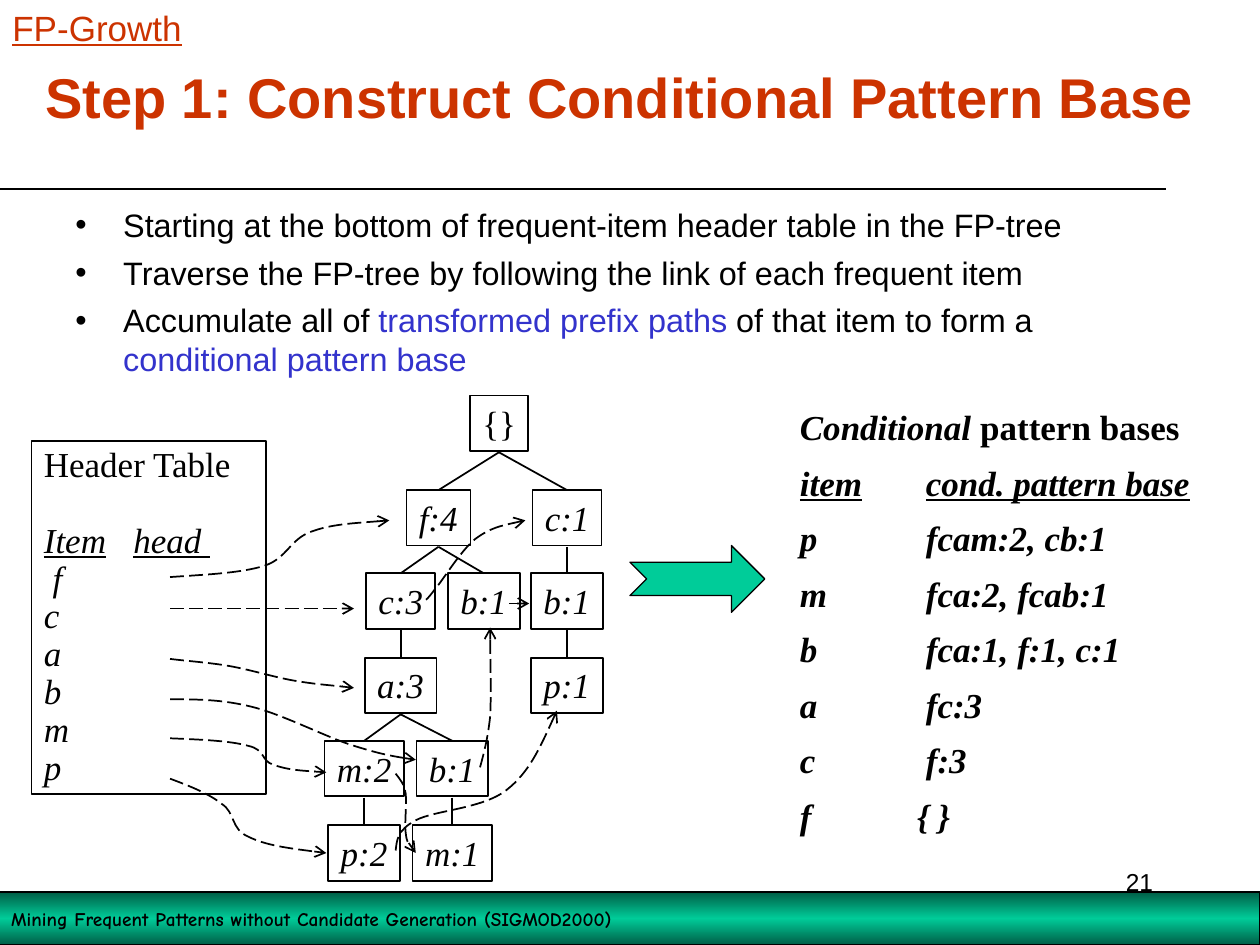
from copy import deepcopy
from dataclasses import dataclass

from lxml.etree import SubElement
from pptx import Presentation
from pptx.dml.color import RGBColor
from pptx.enum.dml import MSO_LINE
from pptx.enum.shapes import MSO_CONNECTOR as Connector, MSO_SHAPE as Preset
from pptx.enum.text import MSO_ANCHOR as Anchor, PP_ALIGN as Align
from pptx.oxml.ns import qn
from pptx.util import Inches, Pt

BLACK = RGBColor(0x00, 0x00, 0x00)
RED = RGBColor(0xCC, 0x33, 0x00)
BLUE = RGBColor(0x33, 0x33, 0xCC)
GREEN = RGBColor(0x00, 0xCC, 0x99)
DARK_GREEN = RGBColor(0x00, 0x5E, 0x46)
WIDTH, HEIGHT = Inches(10), Inches(7.5)
COLUMN, ROW = WIDTH / 10, HEIGHT / 7.5

SERIF = {"name": "Times New Roman", "size": Pt(20)}
ITALIC = SERIF | {"italic": True}
BOLD_ITALIC = ITALIC | {"bold": True}
SANS = {"name": "Arial", "size": Pt(18.5)}

NODE_HEIGHT = 0.44
NODE_WIDTHS = {"{": 0.46, "f": 0.51, "c": 0.55, "m": 0.63}
LEVEL_TOPS = [0.14, 0.89, 1.55, 2.22, 2.88, 3.55]
NODES = [
    ("{}", 3.96, 0, None), ("f:4", 3.48, 1, 0), ("c:1", 4.5, 1, 0),
    ("c:3", 3.18, 2, 1), ("b:1", 3.84, 2, 1), ("b:1", 4.5, 2, 2),
    ("a:3", 3.18, 3, 3), ("p:1", 4.5, 3, 5), ("m:2", 2.89, 4, 6),
    ("b:1", 3.59, 4, 6), ("p:2", 2.89, 5, 8), ("m:1", 3.59, 5, 9),
]
CURVED_LINKS = [
    [(1.35, 1.58), (1.63, 1.56), (1.91, 1.55), (2.1, 1.49), (2.28, 1.43),
     (2.3, 1.28), (2.47, 1.22), (2.63, 1.16), (2.86, 1.15), (3.09, 1.13)],
    [(3.38, 1.76), (3.38, 1.76), (3.39, 1.76), (3.45, 1.68), (3.52, 1.6),
     (3.65, 1.38), (3.77, 1.28), (3.89, 1.19), (4.03, 1.16), (4.17, 1.13)],
    [(1.35, 2.23), (1.51, 2.25), (1.68, 2.26), (1.84, 2.29), (2, 2.32),
     (2.16, 2.37), (2.32, 2.4), (2.49, 2.43), (2.65, 2.44), (2.81, 2.46)],
    [(1.35, 2.55), (1.56, 2.55), (1.76, 2.55), (2, 2.61), (2.24, 2.67),
     (2.57, 2.84), (2.78, 2.91), (3, 2.98), (3.15, 3.01), (3.3, 3.03)],
    [(3.81, 3.09), (3.84, 2.98), (3.87, 2.87), (3.89, 2.69), (3.9, 2.5),
     (3.89, 2.24), (3.89, 1.98)],
    [(1.35, 2.86), (1.59, 2.87), (1.83, 2.88), (1.97, 2.92), (2.11, 2.95),
     (2.07, 3.04), (2.17, 3.07), (2.28, 3.11), (2.43, 3.12), (2.59, 3.13)],
    [(3.14, 3.14), (3.17, 3.18), (3.21, 3.22), (3.22, 3.3), (3.23, 3.38),
     (3.21, 3.53), (3.22, 3.61), (3.23, 3.69), (3.27, 3.73), (3.3, 3.77)],
    [(1.35, 3.18), (1.51, 3.24), (1.66, 3.3), (1.76, 3.38), (1.87, 3.45),
     (1.83, 3.58), (1.97, 3.64), (2.11, 3.71), (2.35, 3.74), (2.59, 3.77)],
    [(3.14, 3.75), (3.15, 3.67), (3.15, 3.59), (3.3, 3.51), (3.45, 3.43),
     (3.83, 3.42), (4.02, 3.27), (4.2, 3.13), (4.31, 2.88), (4.42, 2.64)],
]
STRAIGHT_LINKS = [((1.35, 1.83), (2.81, 1.83)), ((4.04, 1.79), (4.2, 1.79))]


@dataclass
class Box:
    left: float
    top: float
    width: float
    height: float

    def point(self, x, y):
        return round((self.left + x) * COLUMN), round((self.top + y) * ROW)

    def inner(self, x, y, width, height):
        return Box(self.left + x, self.top + y, width, height)

    def extent(self):
        return *self.point(0, 0), round(self.width * COLUMN), round(self.height * ROW)


def assign(target, values):
    for name, value in values.items():
        setattr(target, name, value)


def write(shape, paras, font, color=BLACK, layout=None, **frame):
    text = shape.text_frame
    assign(text, {"word_wrap": True} | frame)
    for index, spans in enumerate(paras):
        para = text.add_paragraph() if index else text.paragraphs[0]
        assign(para, {"alignment": Align.LEFT} | (layout or {}))
        for words, changes in [(spans, {})] if isinstance(spans, str) else spans:
            span = para.add_run()
            span.text = words
            changes = {"color": color} | changes
            span.font.color.rgb = changes.pop("color")
            assign(span.font, font | changes)
    return text.paragraphs


def add_text(page, box, paras, font, **options):
    return write(page.shapes.add_textbox(*box.extent()), paras, font, **options)


def add_preset(page, box, preset=Preset.RECTANGLE, width=1):
    shape = page.shapes.add_shape(preset, *box.extent())
    shape.shadow.inherit = False
    shape.fill.background()
    shape.line.color.rgb = BLACK
    shape.line.width = Pt(width)
    return shape


def add_line(page, box, start, end, width=1):
    line = page.shapes.add_connector(
        Connector.STRAIGHT, *box.point(*start), *box.point(*end))
    line.line.color.rgb = BLACK
    line.line.width = Pt(width)
    SubElement(line._element.spPr, qn("a:effectLst"))
    return line


def make_link(shape):
    shape.line.dash_style = MSO_LINE.LONG_DASH
    SubElement(shape.line._get_or_add_ln(), qn("a:tailEnd"), type="arrow")


def add_curve(page, box, points):
    start, *rest = [box.point(*point) for point in points]
    builder = page.shapes.build_freeform(*start)
    builder.add_line_segments(rest, close=False)
    shape = builder.convert_to_shape()
    shape.shadow.inherit = False
    shape.fill.background()
    shape.line.color.rgb = BLACK
    shape.line.width = Pt(1)
    outline = shape._element.find(".//" + qn("a:path"))
    steps = outline.findall(qn("a:lnTo"))
    for first in range(0, len(steps), 3):
        bend = SubElement(outline, qn("a:cubicBezTo"))
        for step in steps[first:first + 3]:
            bend.append(step[0])
            outline.remove(step)
    return shape


def set_tab(para, position):
    tabs = SubElement(para._p.get_or_add_pPr(), qn("a:tabLst"))
    SubElement(tabs, qn("a:tab"), pos=str(Inches(position)), algn="l")


def draw_heading(page, box):
    add_line(page, box, (0, 1.5), (9.25, 1.5), 0.75)
    add_text(page, box.inner(0.17, 0.42, 9.5, 0.75),
             ["Step 1: Construct Conditional Pattern Base"],
             {"name": "Arial", "size": Pt(32), "bold": True}, color=RED,
             layout={"alignment": Align.CENTER, "line_spacing": 0.9},
             vertical_anchor=Anchor.MIDDLE)
    add_text(page, box.inner(0, 0, 1.54, 0.44), ["FP-Growth"],
             {"name": "Arial", "size": Pt(20), "underline": True}, color=RED,
             margin_right=0)


def draw_bullets(page, box):
    paras = add_text(page, box, [
        "Starting at the bottom of frequent-item header table in the FP-tree",
        "Traverse the FP-tree by following the link of each frequent item",
        [("Accumulate all of ", {}),
         ("transformed prefix paths", {"color": BLUE}),
         (" of that item to form a ", {}),
         ("conditional pattern base", {"color": BLUE})],
    ], SANS, layout={"space_before": Pt(5)})
    for para in paras:
        props = para._p.get_or_add_pPr()
        props.set("marL", str(Inches(0.38)))
        props.set("indent", str(-Inches(0.38)))
        SubElement(props, qn("a:buFont"), typeface="Arial")
        SubElement(props, qn("a:buChar"), char="•")


def draw_tree(page, box):
    for label, center, level, parent in NODES:
        top = LEVEL_TOPS[level]
        width = NODE_WIDTHS.get(label[0], 0.57)
        node = add_preset(page, box.inner(center - width / 2, top, width, NODE_HEIGHT))
        write(node, [label], ITALIC if level else SERIF, margin_right=0,
              vertical_anchor=Anchor.TOP)
        if parent is not None:
            _, above, upper, _ = NODES[parent]
            bottom = LEVEL_TOPS[upper] + NODE_HEIGHT + 0.01
            add_line(page, box, (above, bottom), (center, top))


def draw_header_table(page, box):
    paras = write(add_preset(page, box), [
        [("Header Table", {"italic": False})],
        [("Item\thead ", {"underline": True})],
        " f", *"cabmp",
    ], ITALIC, layout={"line_spacing": 0.9}, vertical_anchor=Anchor.TOP)
    paras[1].space_before = Pt(21.7)
    set_tab(paras[1], 0.71)


def draw_links(page, box):
    for points in CURVED_LINKS:
        make_link(add_curve(page, box, points))
    for start, end in STRAIGHT_LINKS:
        make_link(add_line(page, box, start, end))


def draw_pattern_bases(page, box):
    paras = add_text(page, box, [
        [("Conditional ", {}), ("pattern bases", {"italic": False})],
        [("item\tcond. pattern base", {"underline": True})],
        "p\tfcam:2, cb:1", "m\tfca:2, fcab:1", "b\tfca:1, f:1, c:1",
        "a\tfc:3", "c\tf:3", "f\t{ }",
    ], BOLD_ITALIC, layout={"line_spacing": 0.8, "space_before": Pt(12.5)})
    title, *rows, last = paras
    title.line_spacing = 1.0
    for row in rows:
        set_tab(row, 1)
    set_tab(last, 0.93)


def draw_result_arrow(page, box):
    arrow = add_preset(page, box, Preset.NOTCHED_RIGHT_ARROW, 0.75)
    arrow.fill.solid()
    arrow.fill.fore_color.rgb = GREEN


def draw_footer(page, box):
    bar = add_preset(page, box, width=0.75)
    bar.fill.gradient()
    bar.fill.gradient_angle = 90
    stops = bar._element.find(".//" + qn("a:gsLst"))
    stops.append(deepcopy(stops[0]))
    colors = [DARK_GREEN, GREEN, DARK_GREEN]
    for stop, position, color in zip(bar.fill.gradient_stops, [0, 0.5, 1], colors):
        stop.position = position
        stop.color.rgb = color
    write(bar, ["Mining Frequent Patterns without Candidate Generation (SIGMOD2000)"],
          {"name": "Comic Neue", "size": Pt(11), "bold": True},
          vertical_anchor=Anchor.MIDDLE)
    add_text(page, box.inner(7.18, -0.25, 2.08, 0.5), ["21"],
             {"name": "Arial", "size": Pt(14)}, layout={"alignment": Align.RIGHT})


def main():
    deck = Presentation()
    assign(deck, {"slide_width": WIDTH, "slide_height": HEIGHT})
    page = deck.slides.add_slide(deck.slide_layouts[6])
    diagram = Box(0, 3, 5, 4)
    draw_heading(page, Box(0, 0, 10, 1.5))
    draw_bullets(page, Box(0.5, 1.58, 8.64, 1.58))
    draw_pattern_bases(page, Box(6.25, 3.17, 3.64, 3.52))
    draw_footer(page, Box(-0.01, 7.08, 10.01, 0.42))
    draw_tree(page, diagram)
    draw_header_table(page, diagram.inner(0.25, 0.5, 1.86, 2.8))
    draw_links(page, diagram)
    draw_result_arrow(page, Box(5, 4.33, 1.07, 0.53))
    deck.save("out.pptx")


if __name__ == "__main__":
    main()
